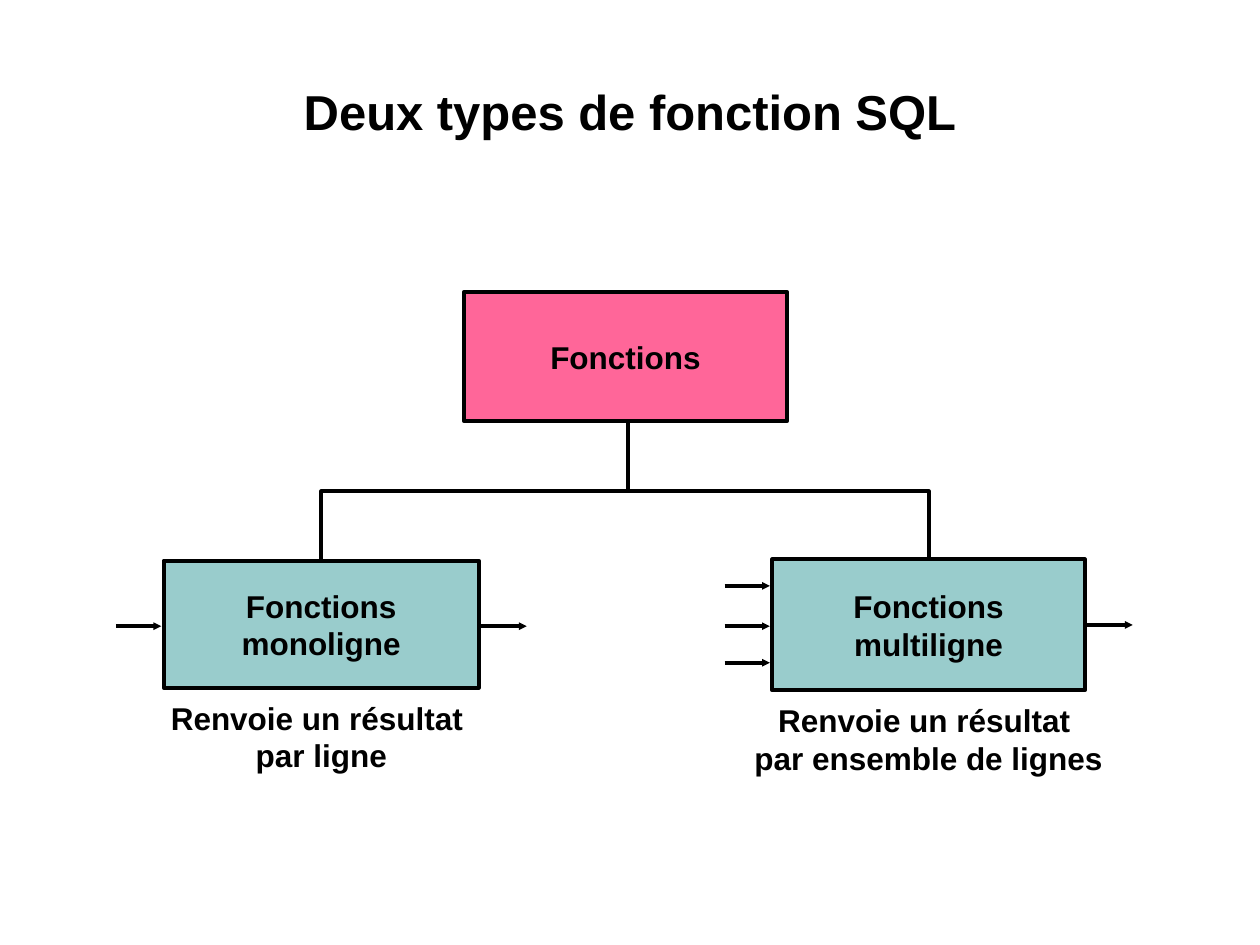
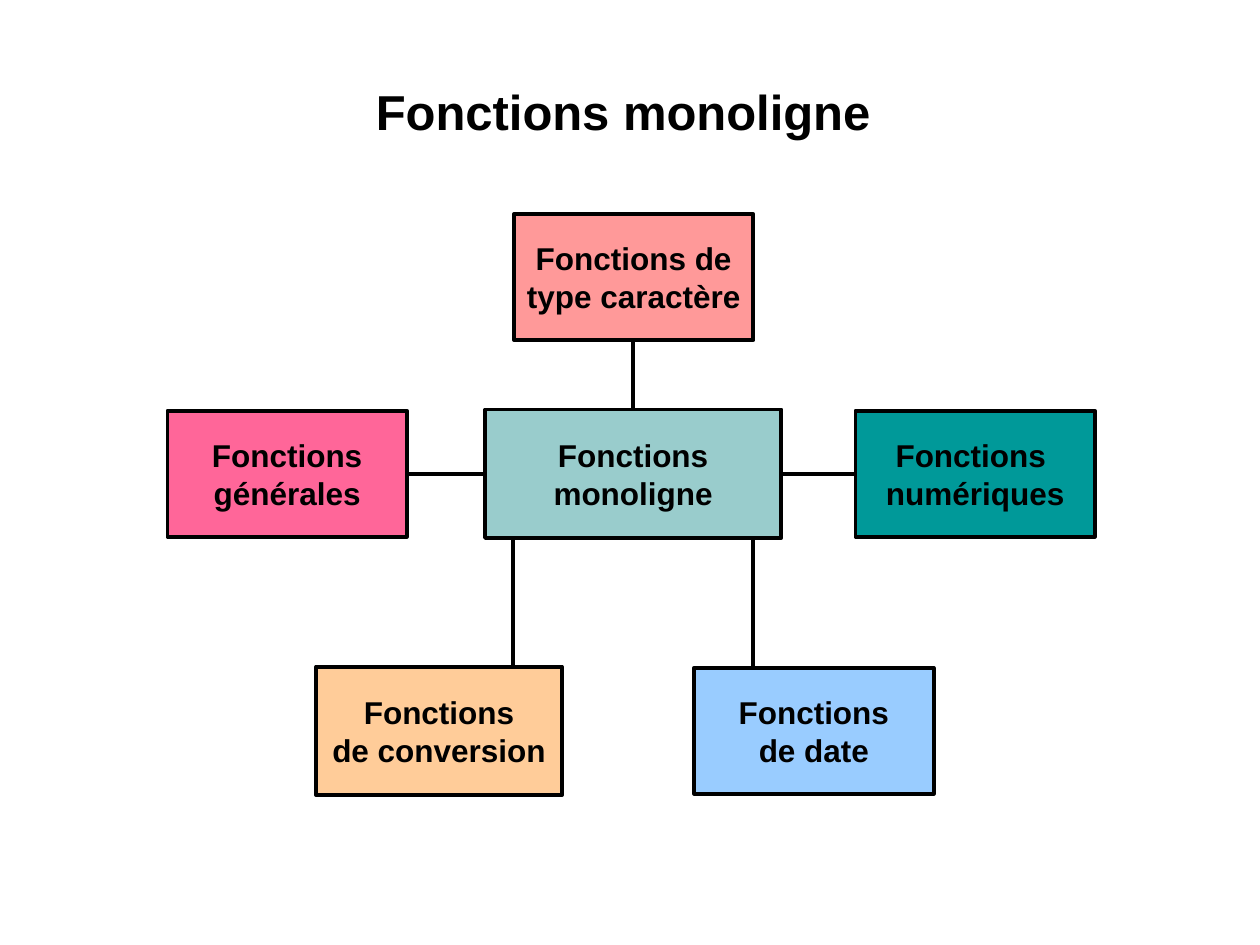
from dataclasses import dataclass
from lxml.etree import SubElement
from pptx import Presentation
from pptx.dml.color import RGBColor
from pptx.enum.shapes import MSO_CONNECTOR as Connector, MSO_SHAPE as Shape
from pptx.enum.text import MSO_ANCHOR as Anchor, MSO_AUTO_SIZE as AutoSize, PP_ALIGN as Align
from pptx.oxml.ns import qn
from pptx.util import Inches, Pt


@dataclass(frozen=True)
class Theme:
    """Colours, type sizes and line weight shared by the slides."""
    font: str = "Arial"
    title_size: float = 28
    label_size: float = 18
    line_width: float = 2.25
    ink: str = "000000"
    pink: str = "FF6699"
    salmon: str = "FF9999"
    peach: str = "FFCC99"
    aqua: str = "99CCCC"
    teal: str = "009999"
    sky: str = "99CCFF"


@dataclass(frozen=True)
class Box:
    """A rectangle in inches."""
    left: float
    top: float
    width: float
    height: float

    @property
    def right(self):
        """Return the right edge."""
        return self.left + self.width

    @property
    def bottom(self):
        """Return the bottom edge."""
        return self.top + self.height

    @property
    def centre(self):
        """Return the horizontal centre."""
        return self.left + self.width / 2

    @property
    def middle(self):
        """Return the vertical centre."""
        return self.top + self.height / 2

    @property
    def inches(self):
        """Return the four lengths for python-pptx."""
        return [Inches(v) for v in (self.left, self.top, self.width, self.height)]

    def within(self, left, top, width, height):
        """Return a box placed relative to this one's corner."""
        return Box(self.left + left, self.top + top, width, height)


THEME = Theme()
TITLE_BOX = Box(1, 0.58, 8, 0.96)


def colour(code):
    """Turn a hex code into a colour."""
    return RGBColor.from_string(code)


def style_line(line):
    """Give an outline the shared colour and weight."""
    line.color.rgb = colour(THEME.ink)
    line.width = Pt(THEME.line_width)


def write(frame, text, size):
    """Write bold centred text in the shared font."""
    frame.text = text
    for paragraph in frame.paragraphs:
        paragraph.alignment = Align.CENTER
        font = paragraph.font
        font.name, font.size, font.bold = THEME.font, Pt(size), True
        font.color.rgb = colour(THEME.ink)


def write_label(frame, text):
    """Write a label centred on its box without wrapping."""
    frame.word_wrap = False
    frame.vertical_anchor = Anchor.MIDDLE
    write(frame, text, THEME.label_size)


def add_titled_slide(deck, title):
    """Add a slide and format its title."""
    slide = deck.slides.add_slide(deck.slide_layouts[5])
    heading = slide.shapes.title
    heading.left, heading.top, heading.width, heading.height = TITLE_BOX.inches
    frame = heading.text_frame
    frame.auto_size = AutoSize.NONE
    frame.vertical_anchor = Anchor.TOP
    frame.margin_left = frame.margin_right = frame.margin_bottom = Inches(0.01)
    frame.margin_top = Inches(0.07)
    write(frame, title, THEME.title_size)
    return slide


def add_node(slide, box, label, fill):
    """Add an outlined rectangle with a label."""
    node = slide.shapes.add_shape(Shape.RECTANGLE, *box.inches)
    node.shadow.inherit = False
    node.fill.solid()
    node.fill.fore_color.rgb = colour(fill)
    style_line(node.line)
    write_label(node.text_frame, label)


def add_link(slide, start, end, arrow=False):
    """Add a straight line, with an arrowhead on request."""
    link = slide.shapes.add_connector(
        Connector.STRAIGHT, *[Inches(v) for v in (*start, *end)])
    style_line(link.line)
    properties = link.line._get_or_add_ln()
    if arrow:
        SubElement(properties, qn("a:tailEnd"), type="triangle", w="sm", len="sm")
    SubElement(properties.getparent(), qn("a:effectLst"))


def add_fork(slide, root, branches, fork_y):
    """Join the root box to the tops of its branches."""
    left, right = branches
    stem_x = root.centre + 0.02
    add_link(slide, (stem_x, fork_y), (stem_x, root.bottom))
    points = [(left.centre, left.top), (left.centre, fork_y),
              (right.centre, fork_y), (right.centre, right.top)]
    corners = [(Inches(x), Inches(y)) for x, y in points]
    builder = slide.shapes.build_freeform(*corners[0])
    builder.add_line_segments(corners[1:], close=False)
    fork = builder.convert_to_shape()
    fork.shadow.inherit = False
    fork.fill.background()
    style_line(fork.line)


def add_branch(slide, box, label, caption, caption_width, inputs):
    """Add a function type with its arrows and the caption below."""
    gap, length = 0.02, 0.36
    output_y = box.top + 0.52
    add_node(slide, box, label, THEME.aqua)
    for offset in inputs:
        y = box.top + offset
        add_link(slide, (box.left - gap - length, y), (box.left - gap, y), arrow=True)
    add_link(slide, (box.right + gap, output_y), (box.right + gap + length, output_y),
             arrow=True)
    caption_box = Box(box.centre - caption_width / 2, box.bottom + 0.12, caption_width, 0.53)
    note = slide.shapes.add_textbox(*caption_box.inches)
    write_label(note.text_frame, caption)


def build_types(deck):
    """Build the tree of the two function types."""
    slide = add_titled_slide(deck, "Deux types de fonction SQL")
    root = Box(3.68, 2.32, 2.57, 1.02)
    single_row = Box(1.3, 4.45, 2.5, 1.01)
    multi_row = Box(6.13, 4.44, 2.48, 1.04)
    add_fork(slide, root, (single_row, multi_row), 3.9)
    add_branch(slide, single_row, "Fonctions\vmonoligne",
               "Renvoie un résultat \vpar ligne", 3.39, [0.52])
    add_branch(slide, multi_row, "Fonctions\vmultiligne",
               "Renvoie un résultat \vpar ensemble de lignes", 3.85, [0.21, 0.53, 0.82])
    add_node(slide, root, "Fonctions", THEME.pink)


def build_single_row(deck):
    """Build the hub of single-row functions and its five families."""
    slide = add_titled_slide(deck, "Fonctions monoligne ")
    hub = Box(3.85, 3.25, 2.35, 1.02)
    beside = [
        ("Fonctions\vgénérales", THEME.pink, hub.within(-2.52, 0.01, 1.9, 1)),
        ("Fonctions \vnumériques", THEME.teal, hub.within(2.94, 0.01, 1.9, 1)),
    ]
    stacked = [
        ("Fonctions de\vtype caractère", THEME.salmon, hub.within(0.23, -1.55, 1.9, 1), 0),
        ("Fonctions\vde conversion", THEME.peach, hub.within(-1.34, 2.04, 1.95, 1.02), -0.95),
        ("Fonctions\nde date", THEME.sky, hub.within(1.66, 2.05, 1.9, 1), 0.95),
    ]
    for label, fill, box in beside:
        add_link(slide, (hub.centre, hub.middle), (box.centre, hub.middle))
        add_node(slide, box, label, fill)
    for label, fill, box, shift in stacked:
        x = hub.centre + shift
        add_link(slide, (x, hub.middle), (x, box.middle))
        add_node(slide, box, label, fill)
    add_node(slide, hub, "Fonctions\vmonoligne", THEME.aqua)


def main():
    """Build and save the deck."""
    deck = Presentation()
    deck.slide_width, deck.slide_height = Inches(10), Inches(7.5)
    build_types(deck)
    build_single_row(deck)
    deck.save("out.pptx")


if __name__ == "__main__":
    main()
